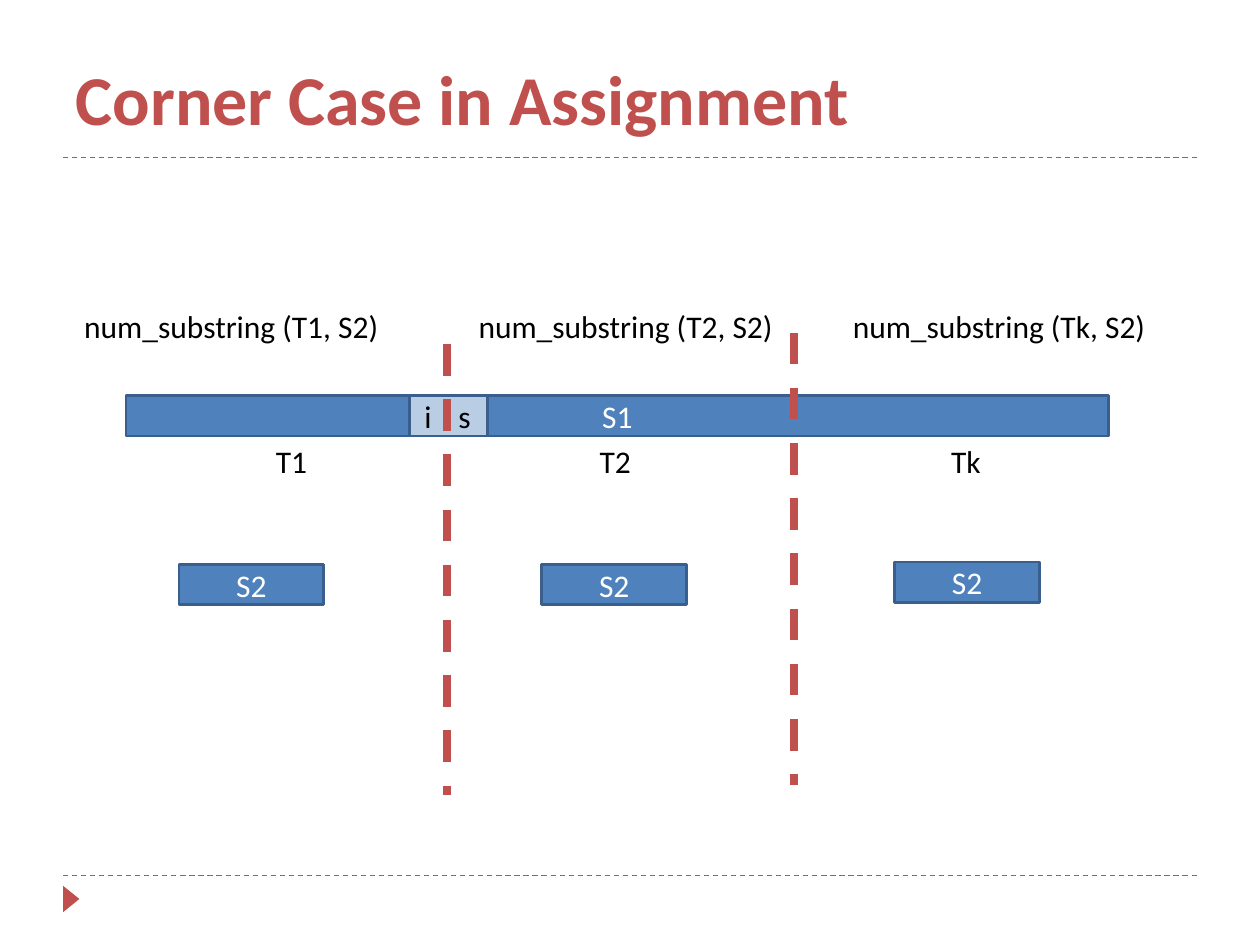
from lxml import etree
from pptx import Presentation
from pptx.dml.color import RGBColor
from pptx.enum import dml, shapes, text
from pptx.oxml.ns import qn
from pptx.util import Inches, Pt

COLORS = {"accent": "C0504D", "bar": "4F81BD", "edge": "3A5F8C",
          "overlap": "B9CDE5", "dark": "000000", "light": "FFFFFF"}


def color(name):
    return RGBColor.from_string(COLORS[name])


class SlideBuilder:
    font_name = "Calibri"

    def __init__(self, slide):
        self.slide = slide

    def set_words(self, shape, words, tint, size=18, bold=False,
                  align=text.PP_ALIGN.LEFT, **frame_format):
        frame = shape.text_frame
        for name, value in frame_format.items():
            setattr(frame, name, value)
        paragraph = frame.paragraphs[0]
        paragraph.alignment = align
        run = paragraph.add_run()
        run.text = words
        font_format = {"name": self.font_name, "size": Pt(size), "bold": bold}
        for name, value in font_format.items():
            setattr(run.font, name, value)
        run.font.color.rgb = color(tint)

    def title(self, words):
        shape = self.slide.shapes.title
        place = {"left": 0.5, "top": 0.08, "width": 9, "height": 1.08}
        for name, value in place.items():
            setattr(shape, name, Inches(value))
        self.set_words(shape, words, "accent", size=40, bold=True,
                       vertical_anchor=text.MSO_ANCHOR.BOTTOM,
                       auto_size=text.MSO_AUTO_SIZE.NONE)

    def label(self, words, left, top, width):
        box = self.slide.shapes.add_textbox(
            Inches(left), Inches(top), Inches(width), Inches(0.4))
        self.set_words(box, words, "dark", word_wrap=False,
                       auto_size=text.MSO_AUTO_SIZE.SHAPE_TO_FIT_TEXT)

    def block(self, left, top, width, height=0.32, words="", fill="bar",
              edge="edge", kind=shapes.MSO_SHAPE.RECTANGLE, rotation=0):
        shape = self.slide.shapes.add_shape(
            kind, Inches(left), Inches(top), Inches(width), Inches(height))
        shape.shadow.inherit = False
        shape.rotation = rotation
        shape.fill.solid()
        shape.fill.fore_color.rgb = color(fill)
        if edge:
            shape.line.color.rgb = color(edge)
            shape.line.width = Pt(1.5)
        else:
            shape.line.fill.background()
        if words:
            self.set_words(shape, words, "light", align=text.PP_ALIGN.CENTER,
                           vertical_anchor=text.MSO_ANCHOR.MIDDLE)

    def dashed_line(self, start, end, width):
        line = self.slide.shapes.add_connector(
            shapes.MSO_CONNECTOR.STRAIGHT, *map(Inches, start + end))
        line.line.color.rgb = color("accent")
        line.line.width = Pt(width)
        line.line.dash_style = dml.MSO_LINE.DASH
        etree.SubElement(line._element.spPr, qn("a:effectLst"))


def main():
    presentation = Presentation()
    presentation.slide_width = Inches(10)
    presentation.slide_height = Inches(7.5)
    layout = presentation.slide_layouts.get_by_name("Title Only")
    builder = SlideBuilder(presentation.slides.add_slide(layout))

    # Frame: title, rules and corner marker
    builder.title("Corner Case in Assignment")
    for y in (6.95, 1.25):
        builder.dashed_line((0.5, y), (9.5, y), 0.75)
    builder.block(0.46, 7.07, 0.21, 0.13, fill="accent", edge=None, rotation=90,
                  kind=shapes.MSO_SHAPE.ISOSCELES_TRIANGLE)

    # Whole string S1
    bar_top = 3.14
    builder.block(1, bar_top, 7.8, words="S1")

    # Each part: call above the bar, name below it, search string S2
    parts = [("T1", 0.57, 2.09, 1.42, 4.48),
             ("T2", 3.7, 4.66, 4.3, 4.48),
             ("Tk", 6.67, 7.45, 7.1, 4.46)]
    for name, call_left, name_left, search_left, search_top in parts:
        builder.label(f"num_substring ({name}, S2)", call_left, 2.39, 2.56)
        builder.label(name, name_left, 3.46, 0.45)
        builder.block(search_left, search_top, 1.15, words="S2")

    # Match that straddles the first boundary
    builder.block(3.25, bar_top, 0.62, fill="overlap")
    builder.label("i", 3.27, 3.1, 0.26)
    builder.label("s", 3.54, 3.1, 0.3)

    # Boundaries between parts
    for x, top, bottom in ((6.3, 2.64, 6.23), (3.55, 2.73, 6.31)):
        builder.dashed_line((x, top), (x, bottom), 4.5)

    presentation.save("out.pptx")


if __name__ == "__main__":
    main()
